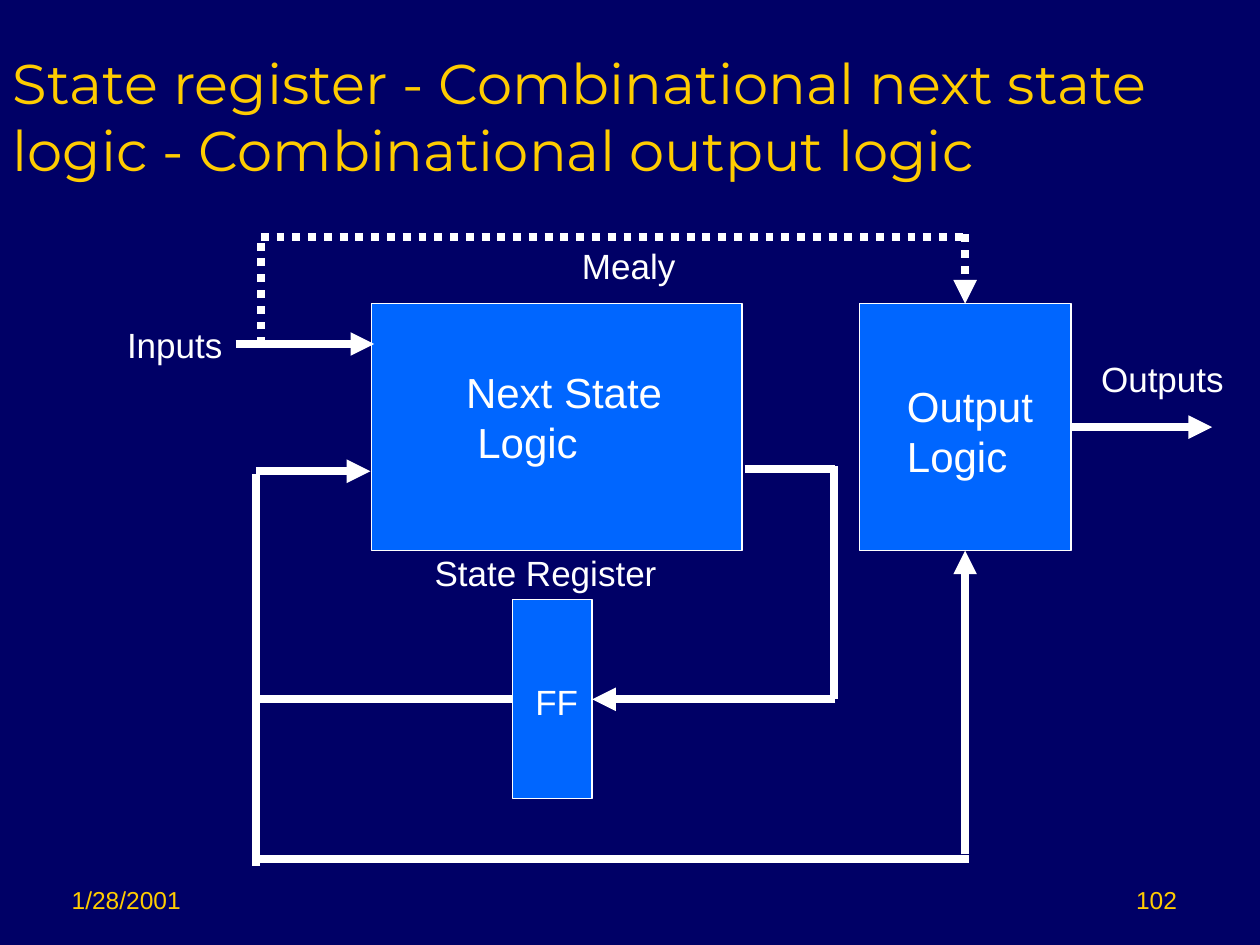
from dataclasses import dataclass
from typing import Optional

from lxml.etree import SubElement
from pptx import Presentation
from pptx.dml.color import RGBColor
from pptx.enum.dml import MSO_LINE
from pptx.enum.shapes import MSO_CONNECTOR, MSO_SHAPE
from pptx.enum.text import MSO_ANCHOR, MSO_AUTO_SIZE, PP_ALIGN
from pptx.oxml.ns import qn
from pptx.util import Inches, Pt

NAVY, BLUE, WHITE, GOLD = "000066", "0066FF", "FFFFFF", "FFCC00"
TOP, LEFT, BOTTOM, RIGHT = range(4)


@dataclass
class Block:
    name: str
    left: float
    top: float
    width: float
    height: float


@dataclass
class Label:
    lines: list[str]
    left: float
    top: float
    width: float
    height: float
    size: int = 20
    last_indent: float = 0


@dataclass
class Wire:
    start: tuple[float, float]
    end: tuple[float, float]
    arrow: bool = False
    dotted: bool = False
    source: Optional[tuple[str, int]] = None
    target: Optional[tuple[str, int]] = None


BLOCKS = [
    Block("next state", 2.95, 2.41, 2.94, 1.96),
    Block("register", 4.07, 4.76, 0.63, 1.58),
    Block("output", 6.82, 2.41, 1.68, 1.96),
]
WIRES = [
    Wire((1.87, 2.73), (2.97, 2.73), arrow=True),
    Wire((8.5, 3.39), (9.62, 3.39), arrow=True, source=("output", RIGHT)),
    # Next state logic to the register
    Wire((5.91, 3.72), (6.63, 3.72)),
    Wire((6.62, 3.7), (6.62, 5.55)),
    Wire((6.63, 5.55), (4.7, 5.55), arrow=True, target=("register", RIGHT)),
    # Register back to both logic blocks
    Wire((4.07, 5.55), (2.06, 5.55), source=("register", LEFT)),
    Wire((2.03, 6.87), (2.03, 3.76)),
    Wire((2.03, 3.74), (2.94, 3.74), arrow=True),
    Wire((2.03, 6.82), (7.69, 6.82)),
    Wire((7.66, 6.78), (7.66, 4.37), arrow=True, target=("output", BOTTOM)),
    # Mealy path from the inputs to the output logic
    Wire((2.07, 2.74), (2.07, 1.89), dotted=True),
    Wire((2.07, 1.88), (7.66, 1.88), dotted=True),
    Wire((7.66, 1.86), (7.66, 2.41), arrow=True, dotted=True, target=("output", TOP)),
]
LABELS = [
    Label(["Next State", "Logic"], 3.6, 2.86, 1.85, 0.9, 24, last_indent=0.09),
    Label(["Output", "Logic"], 7.1, 2.97, 1.3, 0.9, 24),
    Label(["FF"], 4.15, 5.35, 0.6, 0.44),
    Label(["State Register"], 3.35, 4.33, 2.05, 0.44),
    Label(["Inputs"], 0.91, 2.52, 1.05, 0.44),
    Label(["Outputs"], 8.64, 2.79, 1.25, 0.44),
    Label(["Mealy"], 4.52, 1.89, 1.05, 0.44),
]


def color(value: str) -> RGBColor:
    return RGBColor.from_string(value)


def add_span(para, text: str, size: int, fill: str, font: str = "Arial") -> None:
    span = para.add_run()
    span.text = text
    span.font.name = font
    span.font.size = Pt(size)
    span.font.color.rgb = color(fill)


def add_title(page, text: str) -> None:
    title = page.shapes.title
    title.left, title.top = Inches(0), Inches(0.25)
    title.width, title.height = Inches(10), Inches(1.25)
    frame = title.text_frame
    frame.auto_size = MSO_AUTO_SIZE.NONE
    frame.vertical_anchor = MSO_ANCHOR.BOTTOM
    para = frame.paragraphs[0]
    para.alignment = PP_ALIGN.LEFT
    add_span(para, text, 32, GOLD, "Montserrat")


def add_footer(page, text: str, left: float, alignment: PP_ALIGN) -> None:
    box = page.shapes.add_textbox(Inches(left), Inches(6.81), Inches(2.08), Inches(0.5))
    frame = box.text_frame
    frame.word_wrap = True
    frame.vertical_anchor = MSO_ANCHOR.BOTTOM
    para = frame.paragraphs[0]
    para.alignment = alignment
    add_span(para, text, 14, GOLD)


def add_block(page, block: Block):
    shape = page.shapes.add_shape(
        MSO_SHAPE.RECTANGLE, Inches(block.left), Inches(block.top),
        Inches(block.width), Inches(block.height))
    shape.shadow.inherit = False
    shape.fill.solid()
    shape.fill.fore_color.rgb = color(BLUE)
    shape.line.color.rgb = color(WHITE)
    shape.line.width = Pt(0.75)
    return shape


def add_wire(page, wire: Wire, shapes: dict) -> None:
    line = page.shapes.add_connector(
        MSO_CONNECTOR.STRAIGHT, *map(Inches, wire.start + wire.end))
    if wire.source:
        name, side = wire.source
        line.begin_connect(shapes[name], side)
    if wire.target:
        name, side = wire.target
        line.end_connect(shapes[name], side)
    line.line.color.rgb = color(WHITE)
    line.line.width = Pt(4.5)
    if wire.dotted:
        line.line.dash_style = MSO_LINE.ROUND_DOT
    properties = line._element.spPr
    if wire.arrow:
        SubElement(properties.find(qn("a:ln")), qn("a:tailEnd"), type="triangle")
    SubElement(properties, qn("a:effectLst"))


def add_label(page, label: Label) -> None:
    box = page.shapes.add_textbox(
        Inches(label.left), Inches(label.top), Inches(label.width), Inches(label.height))
    frame = box.text_frame
    frame.word_wrap = True
    frame.auto_size = MSO_AUTO_SIZE.NONE
    for index, text in enumerate(label.lines):
        para = frame.add_paragraph() if index else frame.paragraphs[0]
        add_span(para, text, label.size, WHITE)
    if label.last_indent:
        para._p.get_or_add_pPr().set("marL", str(Inches(label.last_indent)))


def main() -> None:
    deck = Presentation()
    deck.slide_width, deck.slide_height = Inches(10), Inches(7.5)
    page = deck.slides.add_slide(deck.slide_layouts[5])
    page.background.fill.solid()
    page.background.fill.fore_color.rgb = color(NAVY)

    add_title(page, "State register - Combinational next state logic"
                    " - Combinational output logic")
    add_footer(page, "1/28/2001", 0.47, PP_ALIGN.LEFT)
    add_footer(page, "102", 7.36, PP_ALIGN.RIGHT)
    shapes = {block.name: add_block(page, block) for block in BLOCKS}
    for wire in WIRES:
        add_wire(page, wire, shapes)
    for label in LABELS:
        add_label(page, label)
    deck.save("out.pptx")


if __name__ == "__main__":
    main()
